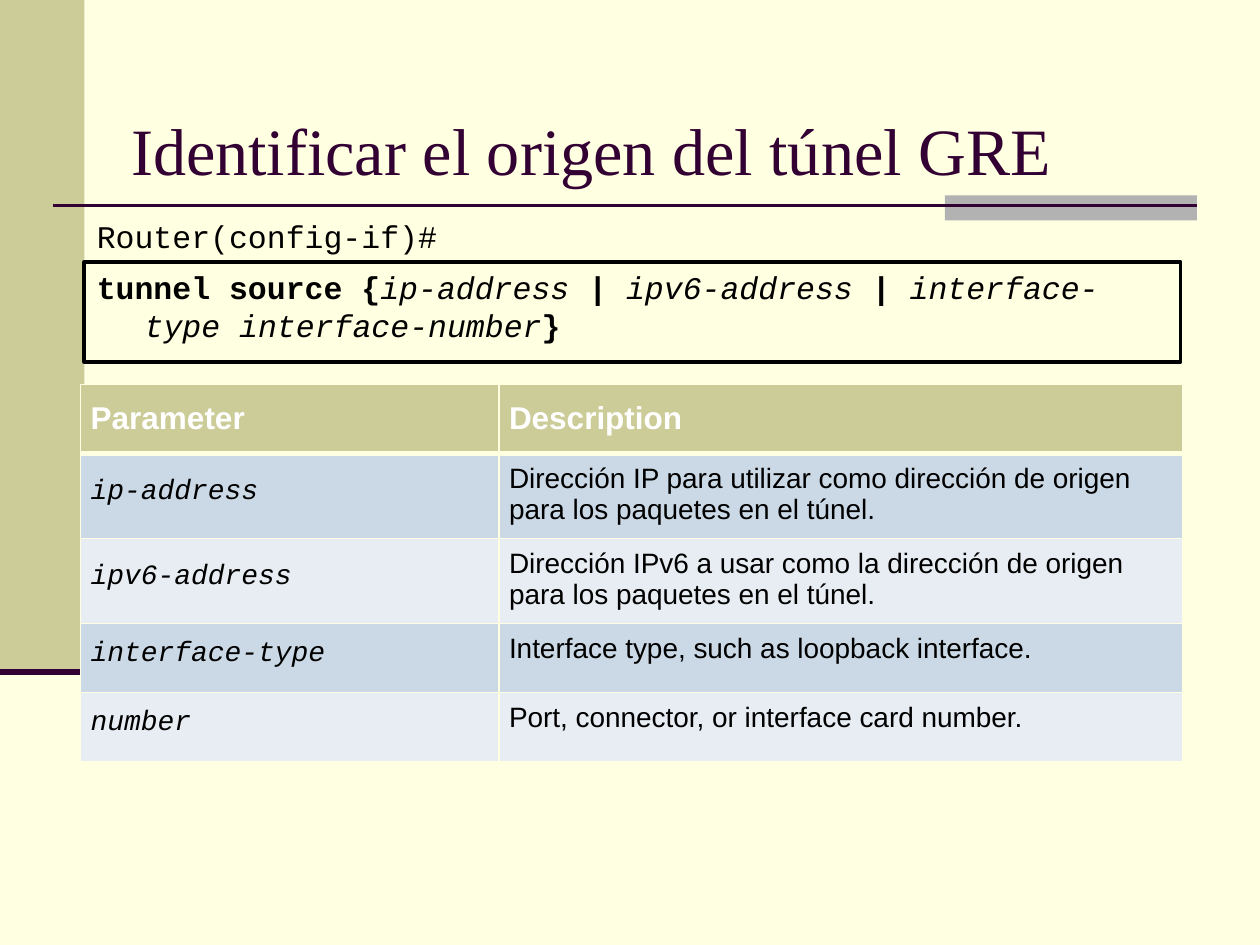
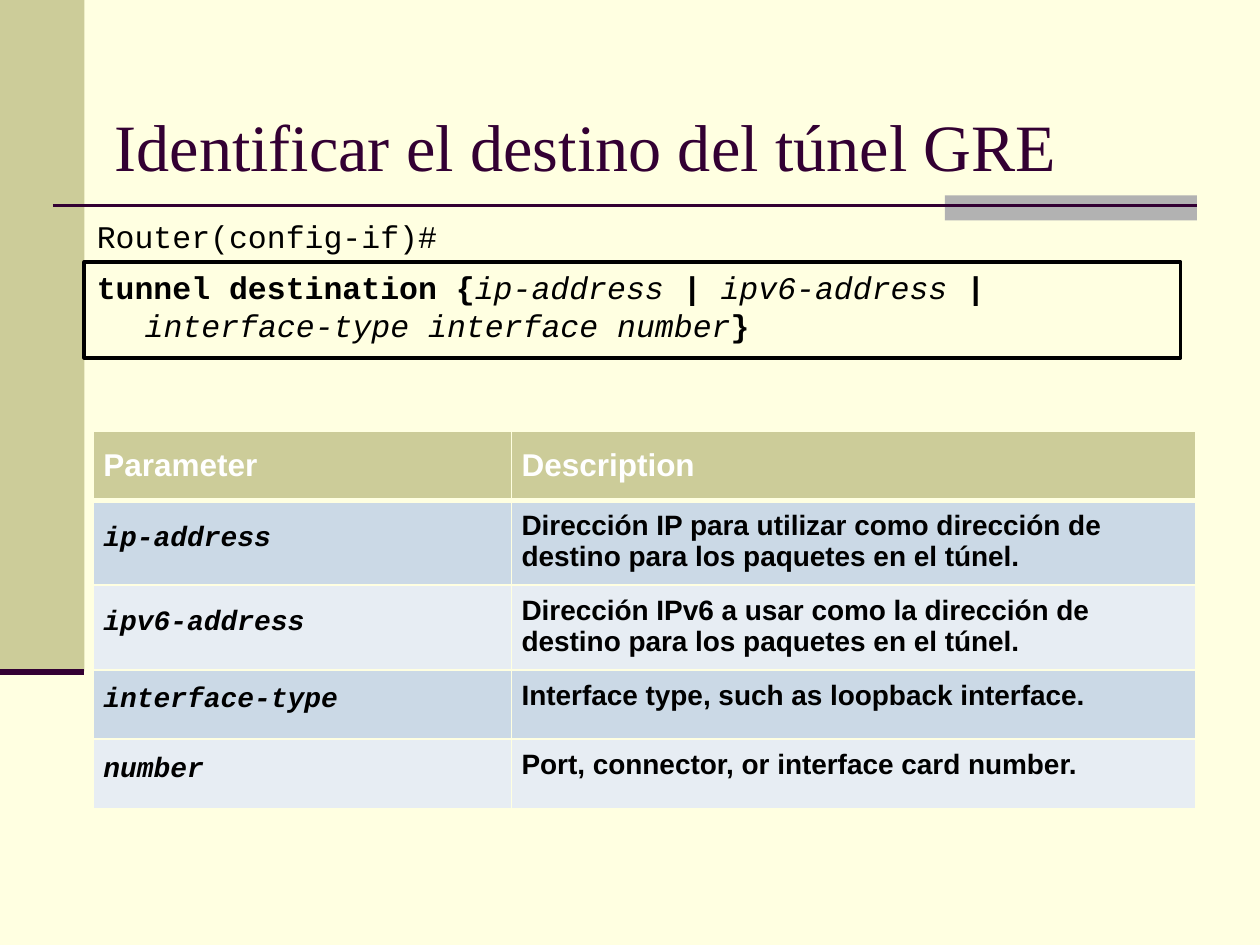
from dataclasses import dataclass

from lxml import etree
from pptx import Presentation
from pptx.dml.color import RGBColor
from pptx.enum.shapes import MSO_CONNECTOR, MSO_SHAPE
from pptx.enum.text import MSO_ANCHOR, MSO_AUTO_SIZE, PP_ALIGN
from pptx.oxml.ns import qn
from pptx.util import Emu, Inches, Pt

RECT = MSO_SHAPE.RECTANGLE
STRAIGHT = MSO_CONNECTOR.STRAIGHT
TOP, MIDDLE = MSO_ANCHOR.TOP, MSO_ANCHOR.MIDDLE
LEFT = PP_ALIGN.LEFT
NO_AUTOFIT = MSO_AUTO_SIZE.NONE

SLIDE_W, SLIDE_H = Inches(10), Inches(7.5)
COLUMNS, ROWS = 100, 75
TITLE_ONLY = 5

CREAM, OLIVE, GREY, PLUM = "FFFFE1", "CCCC99", "B2B2B2", "330033"
BLACK, WHITE = "000000", "FFFFFF"
BANDS = ("CBD9E6", "E7EDF3")
SERIF, SANS, MONO = "Times New Roman", "Arial", "Courier New"

BAND_W, BAND_H = 6.7, 53.3
TABLE_COLUMNS = (33.2, 54.3)
TABLE_ROW = 5.5
HEADERS = ("Parameter", "Description")


@dataclass(frozen=True)
class Box:
    """A place on the slide grid, in columns and rows."""
    x: float
    y: float
    w: float
    h: float

    def emu(self) -> tuple[Emu, Emu, Emu, Emu]:
        return col(self.x), row(self.y), col(self.w), row(self.h)


@dataclass(frozen=True)
class Style:
    font: str
    size: float
    color: str = BLACK
    bold: bool = False
    italic: bool = False


@dataclass(frozen=True)
class CommandSlide:
    title: str
    title_box: Box
    command: str
    options: tuple[str, ...]
    command_h: float
    table_x: float
    table_y: float
    bold_rows: bool
    endpoint: str


SLIDES = (
    CommandSlide("Identificar el origen del túnel GRE", Box(9.4, 7.6, 83, 6),
                 "tunnel source",
                 ("ip-address", "ipv6-address", "interface-type interface-number"),
                 7.9, 6.4, 30.5, False, "origen"),
    CommandSlide("Identificar el destino del túnel GRE", Box(8.1, 7.3, 86, 6),
                 "tunnel destination",
                 ("ip-address", "ipv6-address", "interface-type interface number"),
                 7.6, 7.4, 34.2, True, "destino"),
)


def col(n: float) -> Emu:
    return Emu(round(SLIDE_W * n / COLUMNS))


def row(n: float) -> Emu:
    return Emu(round(SLIDE_H * n / ROWS))


def rgb(color: str) -> RGBColor:
    return RGBColor.from_string(color)


def format_run(r, style: Style) -> None:
    f = r.font
    f.name, f.size = style.font, Pt(style.size)
    f.bold, f.italic = style.bold, style.italic
    f.color.rgb = rgb(style.color)


def add_block(slide, box: Box, color: str) -> None:
    sp = slide.shapes.add_shape(RECT, *box.emu())
    sp.shadow.inherit = False
    sp.fill.solid()
    sp.fill.fore_color.rgb = rgb(color)
    sp.line.fill.background()


def add_rule(slide, x1: float, x2: float, y: float, width: float) -> None:
    line = slide.shapes.add_connector(STRAIGHT, col(x1), row(y), col(x2), row(y))
    line.line.color.rgb = rgb(PLUM)
    line.line.width = Pt(width)
    etree.SubElement(line._element.spPr, qn("a:effectLst"))


def add_decoration(slide) -> None:
    add_block(slide, Box(0, 0, BAND_W, BAND_H), OLIVE)
    add_block(slide, Box(75, 15.5, 20, 2), GREY)
    add_rule(slide, 4.2, 95, 16.3, 1.5)
    add_rule(slide, 0, BAND_W, BAND_H, 3.5)


def set_title(slide, text: str, box: Box) -> None:
    sp = slide.shapes.title
    sp.left, sp.top, sp.width, sp.height = box.emu()
    tf = sp.text_frame
    tf.text = text
    tf.auto_size = NO_AUTOFIT
    tf.vertical_anchor = TOP
    tf.margin_top = Inches(0.11)
    p = tf.paragraphs[0]
    p.alignment = LEFT
    format_run(p.runs[0], Style(SERIF, 37.8, PLUM))


def add_code(slide, box: Box, parts: list[tuple[str, Style]]):
    """Add one code paragraph with a hanging indent."""
    sp = slide.shapes.add_textbox(*box.emu())
    tf = sp.text_frame
    tf.word_wrap = True
    p = tf.paragraphs[0]
    p.space_before = Pt(3.6)
    pPr = p._p.get_or_add_pPr()
    pPr.set("marL", str(Inches(0.38)))
    pPr.set("indent", str(-Inches(0.38)))
    for text, style in parts:
        r = p.add_run()
        r.text = text
        format_run(r, style)
    return sp


def add_command(slide, spec: CommandSlide) -> None:
    keyword = Style(MONO, 18, bold=True)
    option = Style(MONO, 18, italic=True)
    parts = [(spec.command + " {", keyword)]
    for name in spec.options[:-1]:
        parts += [(name + " ", option), ("| ", keyword)]
    parts += [(spec.options[-1], option), ("}", keyword)]
    sp = add_code(slide, Box(6.7, 20.8, 87, spec.command_h), parts)
    sp.line.color.rgb = rgb(BLACK)
    sp.line.width = Pt(2.25)


def set_borders(cell, top: float, bottom: float) -> None:
    tcPr = cell._tc.get_or_add_tcPr()
    for side, width in (("L", 1), ("R", 1), ("T", top), ("B", bottom)):
        ln = etree.SubElement(tcPr, qn(f"a:ln{side}"), w=str(Pt(width)))
        fill = etree.SubElement(ln, qn("a:solidFill"))
        etree.SubElement(fill, qn("a:srgbClr"), val=CREAM)


def fill_cell(cell, text: str, style: Style, fill: str, anchor, margins: tuple[float, float]):
    cell.text = text
    cell.vertical_anchor = anchor
    cell.margin_left = cell.margin_right = Inches(0.08)
    cell.margin_top, cell.margin_bottom = map(Inches, margins)
    cell.fill.solid()
    cell.fill.fore_color.rgb = rgb(fill)
    p = cell.text_frame.paragraphs[0]
    format_run(p.runs[0], style)
    return p


def add_parameters(slide, spec: CommandSlide) -> None:
    tail = f"de {spec.endpoint} para los paquetes en el túnel."
    rows = (
        ("ip-address", f"Dirección IP para utilizar como dirección {tail}"),
        ("ipv6-address", f"Dirección IPv6 a usar como la dirección {tail}"),
        ("interface-type", "Interface type, such as loopback interface."),
        ("number", "Port, connector, or interface card number."),
    )
    count = len(rows) + 1
    box = Box(spec.table_x, spec.table_y, sum(TABLE_COLUMNS), TABLE_ROW * count)
    table = slide.shapes.add_table(count, len(HEADERS), *box.emu()).table
    table.horz_banding = False
    for column, width in zip(table.columns, TABLE_COLUMNS):
        column.width = col(width)

    for c, text in enumerate(HEADERS):
        cell = table.cell(0, c)
        set_borders(cell, 1, 3)
        p = fill_cell(cell, text, Style(SANS, 18, WHITE, bold=True), OLIVE, MIDDLE, (0.04, 0.04))
        p.space_after = Pt(6)

    name_style = Style(MONO, 16, bold=spec.bold_rows, italic=True)
    text_style = Style(SANS, 16, bold=spec.bold_rows)
    for i, (name, text) in enumerate(rows, start=1):
        name_cell, text_cell = table.cell(i, 0), table.cell(i, 1)
        for cell in (name_cell, text_cell):
            set_borders(cell, 3 if i == 1 else 1, 1)
        band = BANDS[(i - 1) % len(BANDS)]
        p = fill_cell(name_cell, name, name_style, band, MIDDLE, (0.08, 0.06))
        p.line_spacing, p.space_before = Pt(12), Pt(3)
        fill_cell(text_cell, text, text_style, band, TOP, (0.08, 0.06))


def main() -> None:
    prs = Presentation()
    prs.slide_width, prs.slide_height = SLIDE_W, SLIDE_H
    background = prs.slide_master.background.fill
    background.solid()
    background.fore_color.rgb = rgb(CREAM)
    for spec in SLIDES:
        slide = prs.slides.add_slide(prs.slide_layouts[TITLE_ONLY])
        add_decoration(slide)
        set_title(slide, spec.title, spec.title_box)
        add_code(slide, Box(6.7, 16.7, 84.7, 4.1), [("Router(config-if)#", Style(MONO, 18))])
        add_command(slide, spec)
        add_parameters(slide, spec)
    prs.save("out.pptx")


if __name__ == "__main__":
    main()
